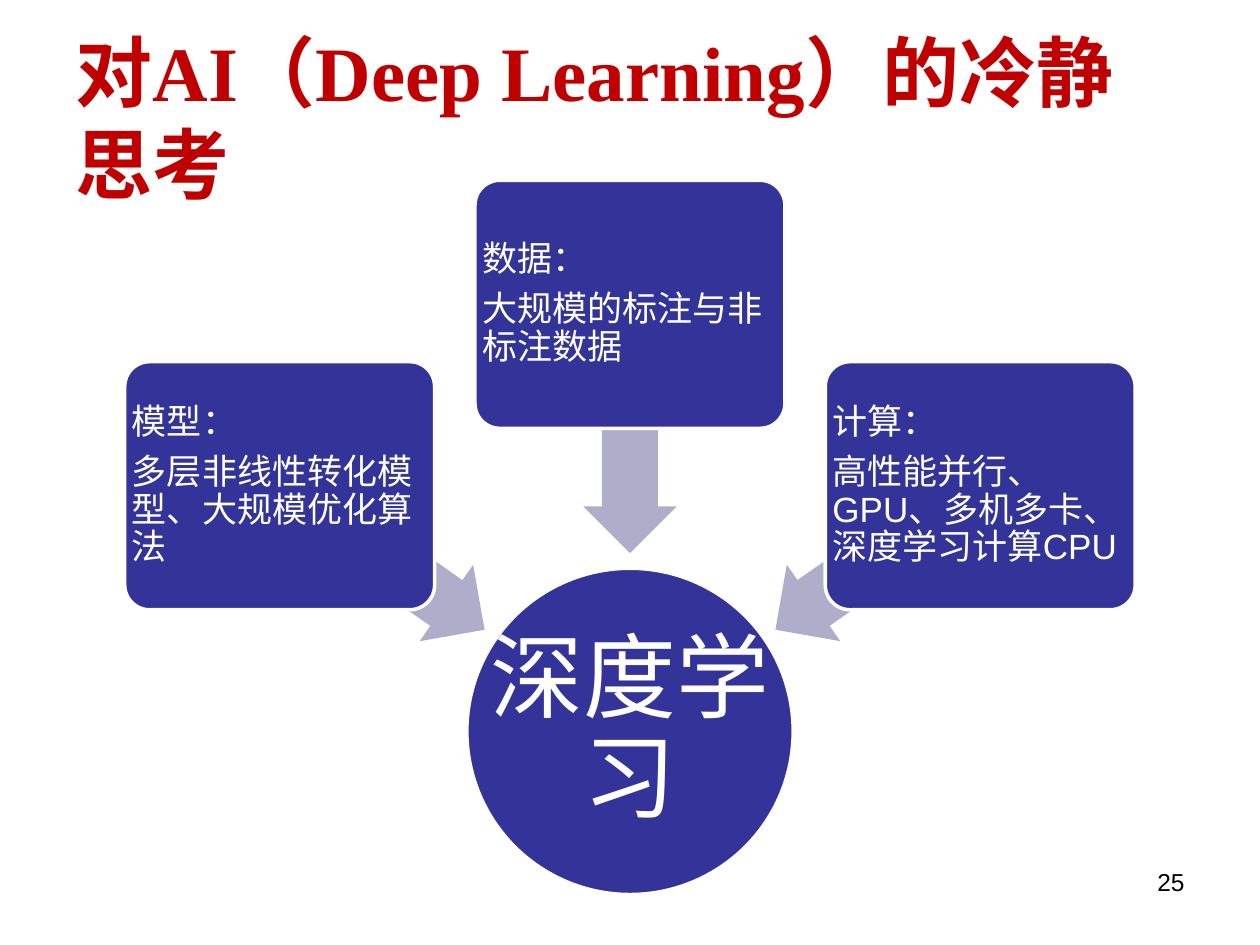
"""Build a slide on which three factors converge on deep learning."""
from dataclasses import dataclass

import pptx
import pptx.dml.color
import pptx.enum.shapes
import pptx.enum.text
import pptx.util

COLORS = {"title": "C00000", "node": "333399", "arrow": "AEAECA",
          "white": "FFFFFF", "black": "000000"}
SLIDE_WIDTH = pptx.util.Inches(10)
SLIDE_HEIGHT = pptx.util.Inches(7.5)
SHAPES = pptx.enum.shapes.MSO_SHAPE
ALIGN = pptx.enum.text.PP_ALIGN
ANCHOR = pptx.enum.text.MSO_ANCHOR


@dataclass(frozen=True)
class Box:
    """A rectangle given by its centre and size, as percentages of the slide."""
    x: float
    y: float
    width: float
    height: float

    def bounds(self) -> tuple[int, int, int, int]:
        """Return left, top, width and height in EMU."""
        return (int((self.x - self.width / 2) * SLIDE_WIDTH / 100),
                int((self.y - self.height / 2) * SLIDE_HEIGHT / 100),
                int(self.width * SLIDE_WIDTH / 100),
                int(self.height * SLIDE_HEIGHT / 100))


@dataclass(frozen=True)
class Factor:
    """A card and the arrow that leads from it to the hub."""
    card: Box
    arrow: Box
    rotation: float
    lines: tuple[str, str]


def make_factor(column: int, card_y: float, arrow_x: float, arrow_y: float,
                rotation: float, *lines: str) -> Factor:
    """Place a factor in column -1, 0 or 1 around the slide's centre."""
    return Factor(Box(50 + 27.8 * column, card_y, 24.6, 26.25),
                  Box(50 + arrow_x, arrow_y, 19.8, 9.87), rotation, lines)


HUB = Box(50, 77.4, 25.9, 34.53)
FACTORS = (
    make_factor(-1, 51.4, -19.65, 59.07, 215, "模型：", "多层非线性转化模型、大规模优化算法"),
    make_factor(0, 32.2, 0, 45.33, 270, "数据：", "大规模的标注与非标注数据"),
    make_factor(1, 51.4, 19.65, 59.07, 325, "计算：",
                "高性能并行、GPU、多机多卡、深度学习计算CPU"),
)


def color(name: str) -> pptx.dml.color.RGBColor:
    """Look up a named colour."""
    return pptx.dml.color.RGBColor.from_string(COLORS[name])


def set_font(paragraph, size: float, color_name: str, name: str = "Arial") -> None:
    """Format a paragraph's font."""
    paragraph.font.size = pptx.util.Pt(size)
    paragraph.font.name = name
    paragraph.font.color.rgb = color(color_name)


def add_preset(slide, preset, box: Box, fill: str, outlined: bool = True):
    """Draw a flat preset shape, with a white outline if wanted."""
    shape = slide.shapes.add_shape(preset, *box.bounds())
    shape.shadow.inherit = False
    shape.fill.solid()
    shape.fill.fore_color.rgb = color(fill)
    if outlined:
        shape.line.color.rgb = color("white")
        shape.line.width = pptx.util.Pt(2)
    else:
        shape.line.fill.background()
    return shape


def write_node(shape, lines: tuple[str, ...], size: float, alignment, inset: float) -> None:
    """Write white, vertically centred paragraphs into a node."""
    frame = shape.text_frame
    frame.word_wrap = True
    frame.vertical_anchor = ANCHOR.MIDDLE
    frame.margin_left = frame.margin_right = pptx.util.Inches(inset)
    frame.margin_top = frame.margin_bottom = pptx.util.Inches(inset)
    frame.text = "\n".join(lines)
    for paragraph in frame.paragraphs:
        paragraph.alignment = alignment
        paragraph.line_spacing = 0.9
        paragraph.space_after = pptx.util.Pt(round(size * 0.35))
        set_font(paragraph, size, "white")


def add_title(slide, text: str) -> None:
    """Fill and place the title placeholder."""
    title = slide.shapes.title
    title.left, title.top, title.width, title.height = Box(50, 12.33, 90, 16.67).bounds()
    frame = title.text_frame
    frame.text = text
    frame.word_wrap = True
    frame.auto_size = pptx.enum.text.MSO_AUTO_SIZE.NONE
    frame.vertical_anchor = ANCHOR.MIDDLE
    paragraph = frame.paragraphs[0]
    paragraph.alignment = ALIGN.LEFT
    set_font(paragraph, 44, "title", "Times New Roman")
    paragraph.font.bold = True


def add_hub(slide, text: str) -> None:
    """Draw the central circle with its label spanning the full width."""
    add_preset(slide, SHAPES.OVAL, HUB, "node")
    label = slide.shapes.add_textbox(*HUB.bounds())
    write_node(label, (text,), 53, ALIGN.CENTER, 0.04)


def add_factor(slide, factor: Factor) -> None:
    """Draw a factor's arrow and the card above it."""
    arrow = add_preset(slide, SHAPES.LEFT_ARROW, factor.arrow, "arrow", outlined=False)
    arrow.adjustments[0] = 0.6
    arrow.adjustments[1] = 0.5
    arrow.rotation = factor.rotation
    card = add_preset(slide, SHAPES.ROUNDED_RECTANGLE, factor.card, "node")
    card.adjustments[0] = 0.1
    write_node(card, factor.lines, 20, ALIGN.LEFT, 0)


def add_page_number(slide, number: str) -> None:
    """Write the page number at the lower right."""
    box = slide.shapes.add_textbox(*Box(83.35, 94.53, 23.3, 6.93).bounds())
    box.text_frame.word_wrap = True
    paragraph = box.text_frame.paragraphs[0]
    paragraph.text = number
    paragraph.alignment = ALIGN.RIGHT
    set_font(paragraph, 14, "black")


def main() -> None:
    """Build and save the presentation."""
    presentation = pptx.Presentation()
    presentation.slide_width = SLIDE_WIDTH
    presentation.slide_height = SLIDE_HEIGHT
    slide = presentation.slides.add_slide(presentation.slide_layouts[5])
    add_title(slide, "对AI（Deep Learning）的冷静思考")
    add_page_number(slide, "25")
    add_hub(slide, "深度学习")
    for factor in FACTORS:
        add_factor(slide, factor)
    presentation.save("out.pptx")


if __name__ == "__main__":
    main()
